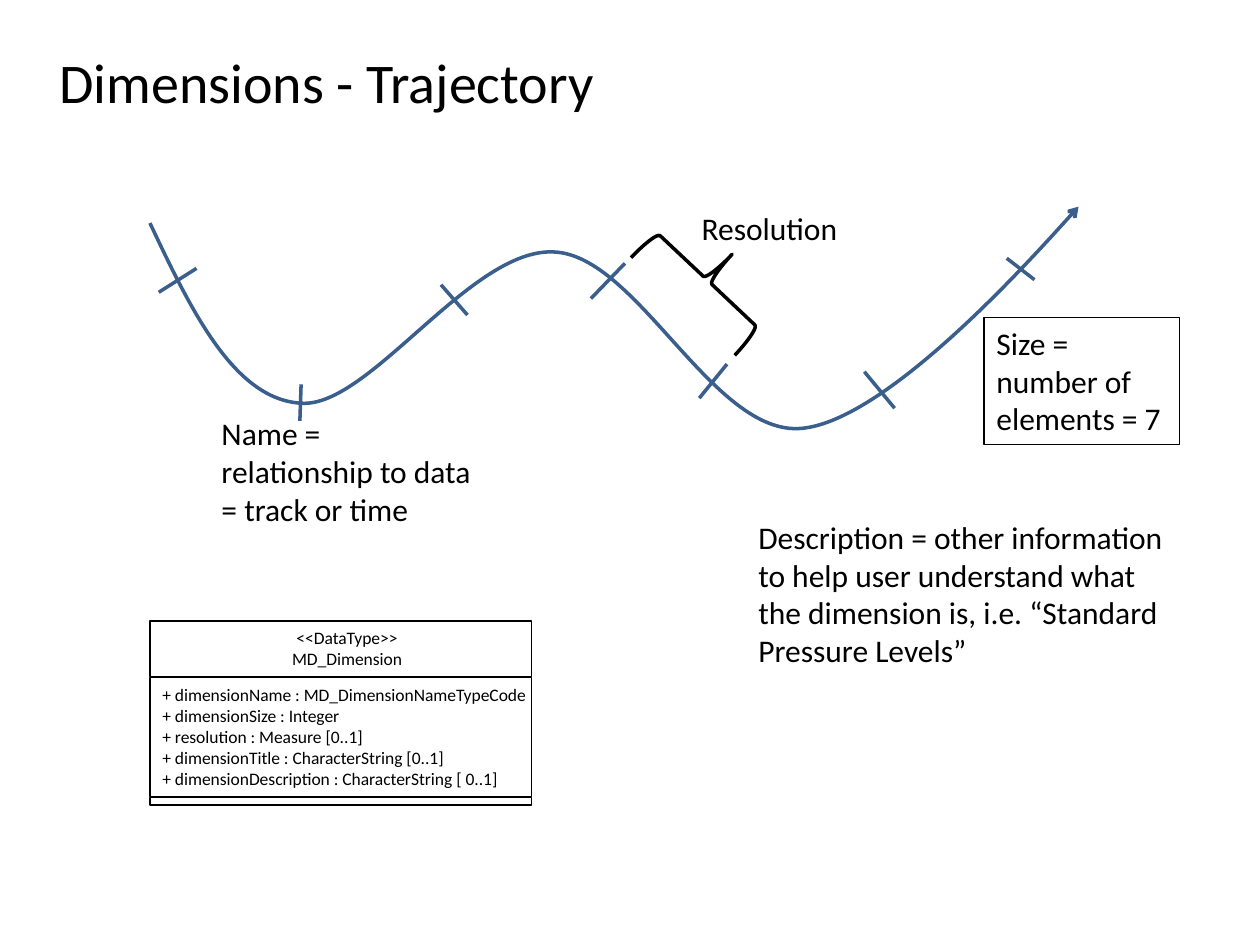
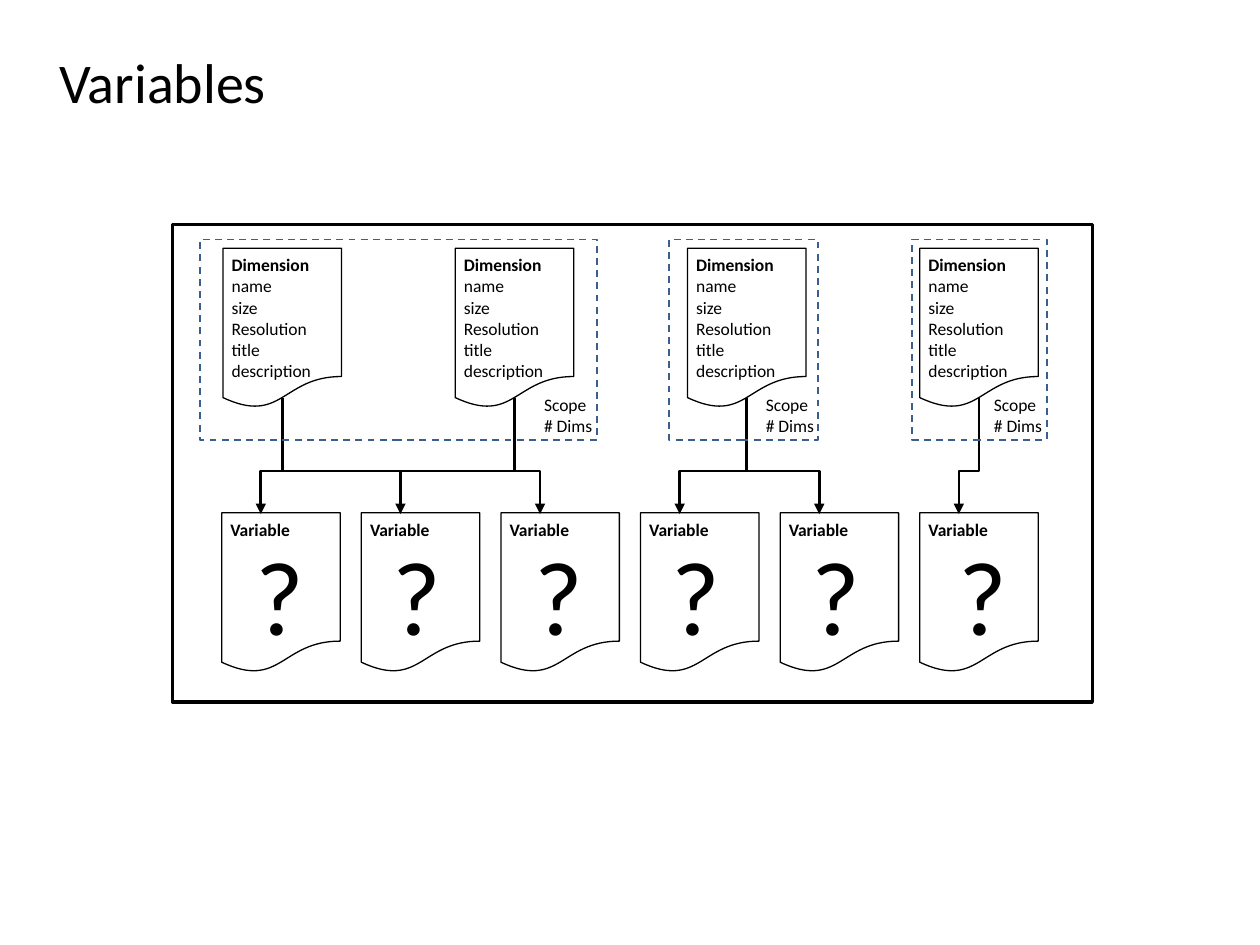
from lxml.etree import SubElement
from pptx import Presentation
from pptx.dml.color import RGBColor
from pptx.enum.dml import MSO_LINE_DASH_STYLE as Dash
from pptx.enum.shapes import MSO_CONNECTOR as Link, MSO_SHAPE as Shape
from pptx.enum.text import MSO_ANCHOR as Anchor, MSO_AUTO_SIZE as AutoSize, PP_ALIGN as Align
from pptx.oxml.ns import qn
from pptx.util import Inches, Pt

COLORS = {"ink": "000000", "paper": "FFFFFF", "track": "3A5F8C"}
FONT = "Calibri"
TITLE_ONLY = 5


def color(name):
    return RGBColor.from_string(COLORS[name])


def set_all(target, values):
    for name, value in values.items():
        setattr(target, name, value)


def write(frame, lines, size, align=Align.LEFT, bold_first=False):
    """Fill a text frame with one paragraph per line."""
    for i, line in enumerate(lines):
        paragraph = frame.paragraphs[0] if i == 0 else frame.add_paragraph()
        paragraph.alignment = align
        run = paragraph.add_run()
        run.text = line
        set_all(run.font, {"name": FONT, "size": Pt(size), "bold": bold_first and i == 0})
        run.font.color.rgb = color("ink")


def style_line(line, name, width):
    line.color.rgb = color(name)
    line.width = Pt(width)


def add_arrowhead(shape, end, kind):
    SubElement(shape.line._get_or_add_ln(), qn(f"a:{end}"), type=kind)


def add_title(slide, text, top, width, height):
    title = slide.shapes.title
    set_all(title, {"left": Inches(0.37), "top": Inches(top),
                    "width": Inches(width), "height": Inches(height)})
    title.text_frame.vertical_anchor = Anchor.MIDDLE
    write(title.text_frame, [text], 32)


def add_box(slide, box, kind=Shape.RECTANGLE, fill="paper", line="ink", width=0.75):
    shape = slide.shapes.add_shape(kind, *map(Inches, box))
    shape.shadow.inherit = False
    if fill:
        shape.fill.solid()
        shape.fill.fore_color.rgb = color(fill)
    else:
        shape.fill.background()
    style_line(shape.line, line, width)
    return shape


def add_label(slide, box, lines, size, wrap=False, bold_first=False):
    frame = slide.shapes.add_textbox(*map(Inches, box)).text_frame
    set_all(frame, {"word_wrap": wrap, "auto_size": AutoSize.SHAPE_TO_FIT_TEXT})
    write(frame, lines, size, bold_first=bold_first)


def add_link(slide, kind, ends, name, width):
    link = slide.shapes.add_connector(kind, *map(Inches, ends))
    style_line(link.line, name, width)
    SubElement(link._element.spPr, qn("a:effectLst"))
    return link


def add_elbow(slide, start, end):
    """Rising elbow: up, across, up, with an arrowhead at its lower start."""
    (x1, y1), (x2, y2) = start, end
    rise, run = y1 - y2, abs(x2 - x1)
    left, top = (x1 + x2 - rise) / 2, (y1 + y2 - run) / 2
    elbow = add_link(slide, Link.ELBOW, (left, top, left + rise, top + run), "ink", 1.5)
    # Turn the frame a quarter so that the first leg is vertical
    frame = elbow._element.spPr.find(qn("a:xfrm"))
    frame.set("rot", str((90 if x2 > x1 else 270) * 60000))
    frame.set("flipV", "1")
    if x2 > x1:
        frame.set("flipH", "1")
    bends = elbow._element.spPr.find(qn("a:prstGeom")).get_or_add_avLst()
    SubElement(bends, qn("a:gd"), name="adj1", fmla="val 37100")
    add_arrowhead(elbow, "headEnd", "triangle")


def add_curve(slide, start, controls):
    """Open Bezier curve; controls come in threes."""
    builder = slide.shapes.build_freeform(*map(Inches, start), scale=1.0)
    builder.add_line_segments([tuple(map(Inches, point)) for point in controls], close=False)
    curve = builder.convert_to_shape()
    curve.shadow.inherit = False
    curve.fill.background()
    style_line(curve.line, "track", 2)
    outline = next(curve._element.iter(qn("a:path")))
    steps = outline.findall(qn("a:lnTo"))
    for i in range(0, len(steps), 3):
        bend = SubElement(outline, qn("a:cubicBezTo"))
        for step in steps[i:i + 3]:
            bend.append(step[0])
            outline.remove(step)
    return curve


def add_class_box(slide, top, height, lines=(), align=Align.LEFT):
    frame = add_box(slide, (1.19, top, 3.03, height), fill=None).text_frame
    set_all(frame, {"margin_right": 0, "vertical_anchor": Anchor.TOP, "word_wrap": True})
    write(frame, lines, 10, align)


def add_document(slide, left, top, label_size, lines):
    add_box(slide, (left, top, 0.94, 1.27), Shape.FLOWCHART_DOCUMENT)
    add_label(slide, (left - 0.03, top, *label_size), lines, 10, bold_first=True)


def build_trajectory(slide):
    add_title(slide, "Dimensions - Trajectory", 0.33, 4.65, 0.63)

    # Class diagram
    add_class_box(slide, 4.93, 0.44, ["<<DataType>>", "MD_Dimension"], Align.CENTER)
    add_class_box(slide, 5.38, 0.94, [
        "+ dimensionName : MD_DimensionNameTypeCode",
        "+ dimensionSize : Integer",
        "+ resolution : Measure [0..1]",
        "+ dimensionTitle : CharacterString [0..1]",
        "+ dimensionDescription : CharacterString [ 0..1]",
    ])
    add_class_box(slide, 6.33, 0.06)

    # Elements along the track
    ticks = [(8.21, 2.22, 7.99, 2.05), (7.1, 3.24, 6.86, 2.95), (5.77, 2.89, 5.55, 3.16),
             (4.96, 2.09, 4.69, 2.37), (3.71, 2.5, 3.5, 2.26), (2.38, 3.34, 2.39, 3.05),
             (1.56, 2.13, 1.26, 2.32)]
    for tick in ticks:
        add_link(slide, Link.STRAIGHT, tick, "track", 2)

    # Explanations
    size_frame = add_box(slide, (7.81, 2.52, 1.55, 1.01)).text_frame
    set_all(size_frame, {"word_wrap": True, "vertical_anchor": Anchor.TOP})
    write(size_frame, ["Size = number of elements = 7"], 18)
    brace = add_box(slide, (5.33, 1.66, 0.57, 1.13), Shape.LEFT_BRACE, width=2)
    brace.rotation = 133.3
    add_label(slide, (5.47, 1.61, 1.29, 0.4), ["Resolution"], 18)
    add_label(slide, (5.92, 4.06, 3.58, 1.31),
              ["Description = other information to help user understand what "
               "the dimension is, i.e. “Standard Pressure Levels”"], 18, wrap=True)
    add_label(slide, (1.66, 3.24, 2.23, 1.01),
              ["Name = relationship to data = track or time"], 18, wrap=True)

    # Track
    track = add_curve(slide, (1.19, 1.77), [
        (1.52, 2.47), (1.86, 3.17), (2.39, 3.2),
        (2.93, 3.24), (3.74, 1.96), (4.4, 2),
        (5.06, 2.03), (5.66, 3.46), (6.36, 3.4),
        (7.05, 3.34), (8.56, 1.64), (8.56, 1.64)])
    add_arrowhead(track, "tailEnd", "arrow")


def build_variables(slide):
    add_title(slide, "Variables", 0.34, 4.94, 0.61)
    add_box(slide, (1.37, 1.78, 7.3, 3.79), width=2)

    # Documents, evenly spread over two rows
    dimension_lefts = [1.77 + i * (7.3 - 1.77) / 3 for i in range(4)]
    variable_lefts = [1.76 + i * (7.3 - 1.76) / 5 for i in range(6)]
    for left in dimension_lefts:
        add_document(slide, left, 1.97, (0.84, 1.11),
                     ["Dimension", "name", "size", "Resolution", "title", "description"])
    for left in variable_lefts:
        add_document(slide, left, 4.07, (0.69, 0.27), ["Variable"])

    # Variable and dimension joined by each elbow
    for variable, dimension in [(5, 3), (4, 2), (3, 2), (2, 0), (1, 0), (0, 1)]:
        add_elbow(slide, (variable_lefts[variable] + 0.31, 4.08),
                  (dimension_lefts[dimension] + 0.47, 3.16))

    # Scopes: frame left, frame width, label left
    for left, width, label_left in [(1.59, 3.15, 4.22), (5.31, 1.18, 5.98), (7.24, 1.07, 7.79)]:
        scope = add_box(slide, (left, 1.9, width, 1.59), fill=None, line="track", width=1)
        scope.line.dash_style = Dash.DASH
        add_label(slide, (label_left, 3.08, 0.6, 0.44), ["Scope", "# Dims"], 10)

    # Open questions
    for left in (1.93, 3.02, 4.14, 5.23, 6.34, 7.51):
        add_label(slide, (left, 4.16, 0.59, 1.11), ["?"], 60)


def main():
    deck = Presentation()
    set_all(deck, {"slide_width": Inches(10), "slide_height": Inches(7.5)})
    for build in (build_trajectory, build_variables):
        build(deck.slides.add_slide(deck.slide_layouts[TITLE_ONLY]))
    deck.save("out.pptx")


if __name__ == "__main__":
    main()
